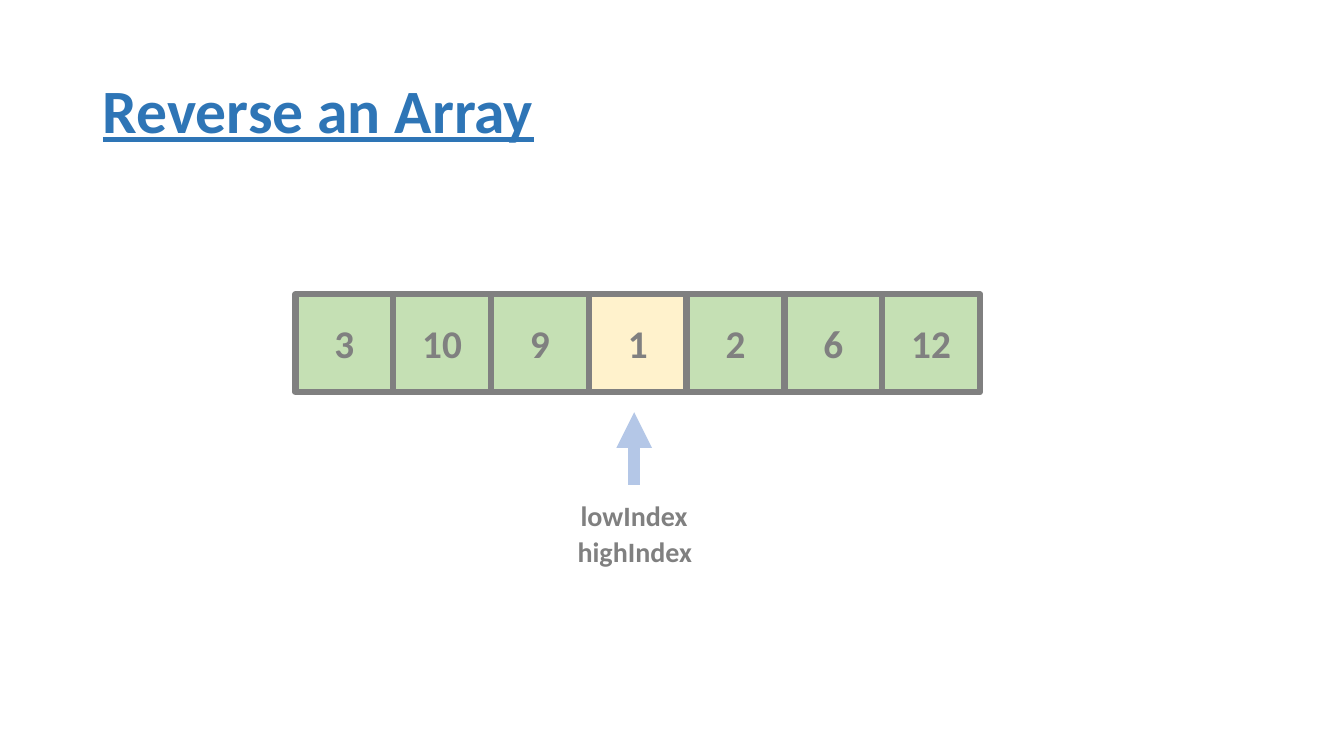
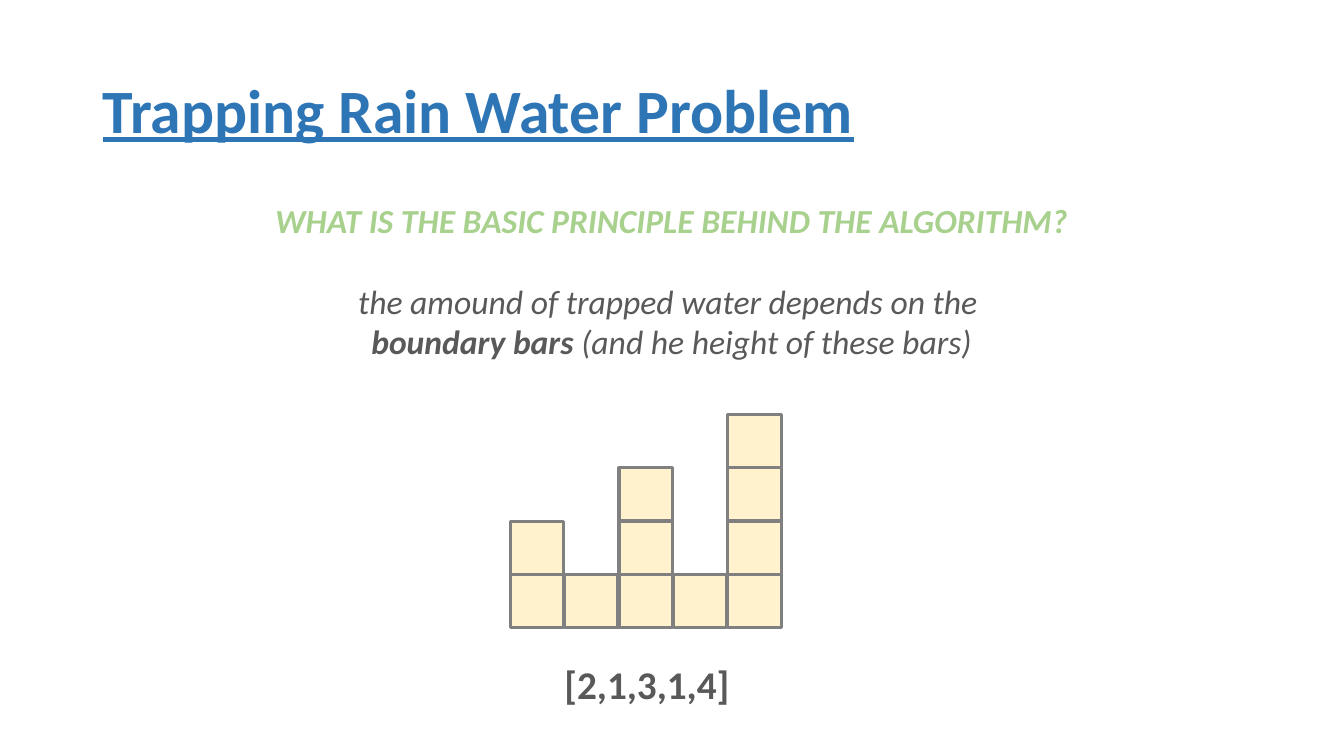
from lxml import etree
from pptx import Presentation
from pptx.dml.color import RGBColor
from pptx.enum import shapes, text
from pptx.oxml.ns import qn
from pptx.util import Inches, Pt

INK = {
    "title": "2E75B6",
    "green": "C5E0B4",
    "cream": "FFF2CC",
    "gray": "808080",
    "dark": "595959",
    "lime": "A9D18E",
    "arrow": "B4C7E7",
}
FACE = "Calibri"


def tint(name):
    return RGBColor.from_string(INK[name])


def style(font, size, ink, bold=True):
    font.name = FACE
    font.size = Pt(size)
    font.bold = bold
    font.color.rgb = tint(ink)


def start(deck, words):
    slide = deck.slides.add_slide(deck.slide_layouts[5])
    title = slide.shapes.title
    title.left, title.top = Inches(0.92), Inches(0.4)
    title.width, title.height = Inches(11.5), Inches(1.45)
    frame = title.text_frame
    frame.text = words
    frame.auto_size = text.MSO_AUTO_SIZE.NONE
    frame.vertical_anchor = text.MSO_ANCHOR.MIDDLE
    para = frame.paragraphs[0]
    para.alignment = text.PP_ALIGN.LEFT
    para.line_spacing = 0.9
    style(para.font, 44, "title")
    para.font.underline = True
    return slide


def square(slide, left, top, side, fill, line, words=""):
    box = slide.shapes.add_shape(
        shapes.MSO_SHAPE.RECTANGLE,
        Inches(left), Inches(top), Inches(side), Inches(side))
    box.shadow.inherit = False
    box.fill.solid()
    box.fill.fore_color.rgb = tint(fill)
    box.line.color.rgb = tint("gray")
    box.line.width = Pt(line)
    if words:
        frame = box.text_frame
        frame.text = words
        frame.vertical_anchor = text.MSO_ANCHOR.MIDDLE
        para = frame.paragraphs[0]
        para.alignment = text.PP_ALIGN.CENTER
        style(para.font, 28, "gray")


def label(slide, left, top, width, height, words, size, ink):
    box = slide.shapes.add_textbox(
        Inches(left), Inches(top), Inches(width), Inches(height))
    frame = box.text_frame
    frame.text = words
    frame.word_wrap = False
    style(frame.paragraphs[0].font, size, ink)


def arrow(slide, x, low, high):
    line = slide.shapes.add_connector(
        shapes.MSO_CONNECTOR.STRAIGHT,
        Inches(x), Inches(low), Inches(x), Inches(high))
    line.line.color.rgb = tint("arrow")
    line.line.width = Pt(8.5)
    etree.SubElement(line.line._get_or_add_ln(), qn("a:tailEnd"), type="triangle")
    etree.SubElement(line._element.spPr, qn("a:effectLst"))


def prose(slide, lines):
    box = slide.shapes.add_textbox(
        Inches(1.07), Inches(1.93), Inches(11.18), Inches(2.52))
    frame = box.text_frame
    frame.word_wrap = True
    for i, (ink, gap, runs) in enumerate(lines):
        para = frame.paragraphs[0] if i == 0 else frame.add_paragraph()
        para.alignment = text.PP_ALIGN.CENTER
        if gap:
            para.space_before = Pt(gap)
        style(para.font, 24, ink, None)
        para.font.italic = True
        for words, bold in runs:
            run = para.add_run()
            run.text = words
            run.font.bold = bold


def array(slide, values, mid):
    side = 0.97
    for i, value in enumerate(values):
        fill = "cream" if i == mid else "green"
        square(slide, 2.93 + i * side, 2.92, side, fill, 4.5, str(value))


def bars(slide, heights):
    for col, height in enumerate(heights):
        for row in range(height):
            square(slide, 5.06 + col * 0.54, 5.7 - row * 0.53, 0.53, "cream", 2.25)


def reverse(deck):
    slide = start(deck, "Reverse an Array")
    array(slide, [3, 10, 9, 1, 2, 6, 12], 3)
    arrow(slide, 6.29, 4.81, 4.09)
    label(slide, 5.66, 4.9, 1.27, 0.44, "lowIndex", 20, "gray")
    label(slide, 5.63, 5.25, 1.35, 0.44, "highIndex", 20, "gray")


def water(deck):
    slide = start(deck, "Trapping Rain Water Problem")
    prose(slide, [
        ("lime", 0, [("WHAT IS THE BASIC PRINCIPLE BEHIND THE ALGORITHM?", True)]),
        ("dark", 29, [("the amound of trapped water depends on the ", False)]),
        ("dark", 0, [("boundary bars ", True),
                     ("(and he height of these bars)", False)]),
    ])
    bars(slide, [2, 1, 3, 1, 4])
    label(slide, 5.5, 6.5, 1.86, 0.57, "[2,1,3,1,4]", 28, "dark")


def main():
    deck = Presentation()
    deck.slide_width, deck.slide_height = Inches(13.33), Inches(7.5)
    reverse(deck)
    water(deck)
    deck.save("out.pptx")


if __name__ == "__main__":
    main()
